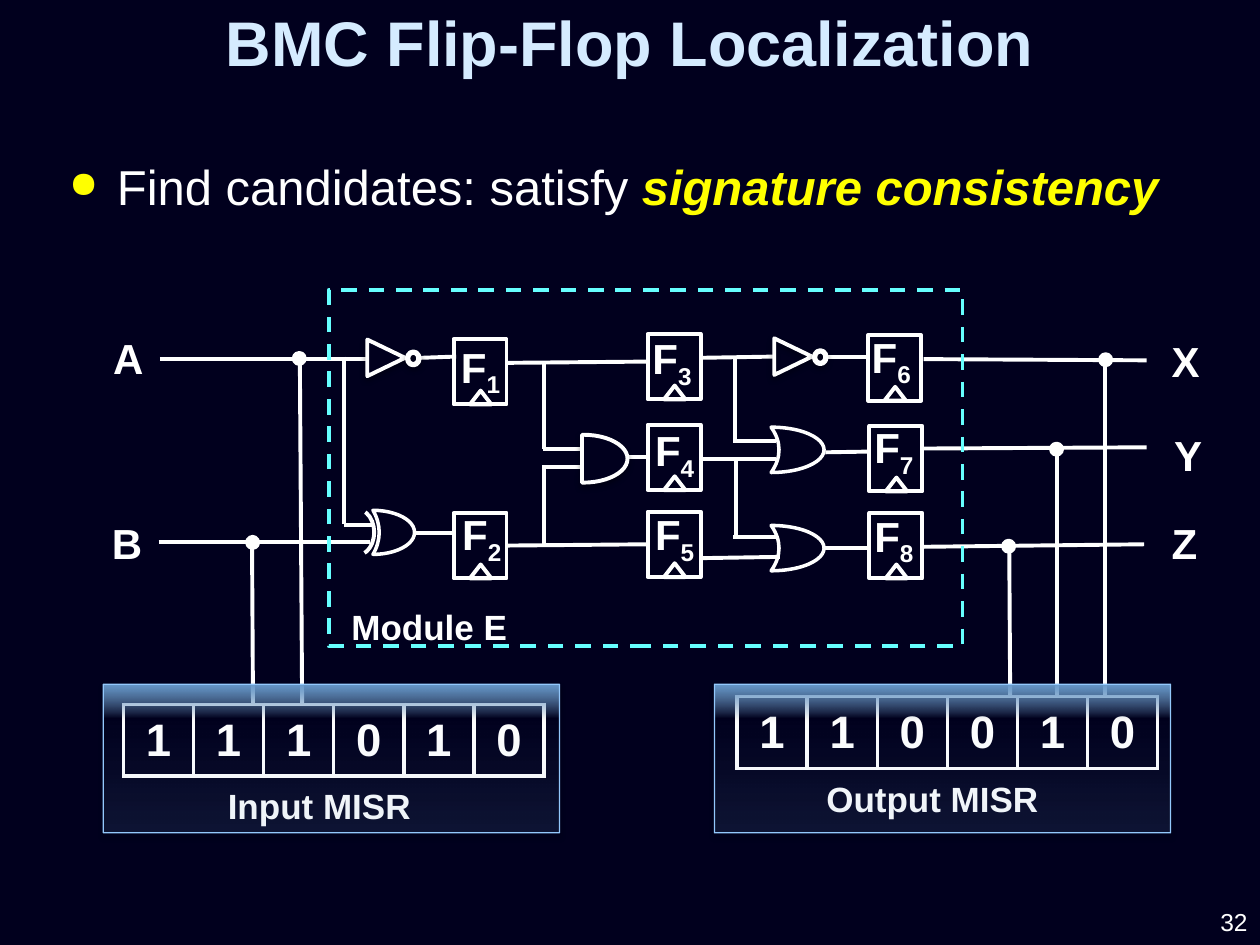
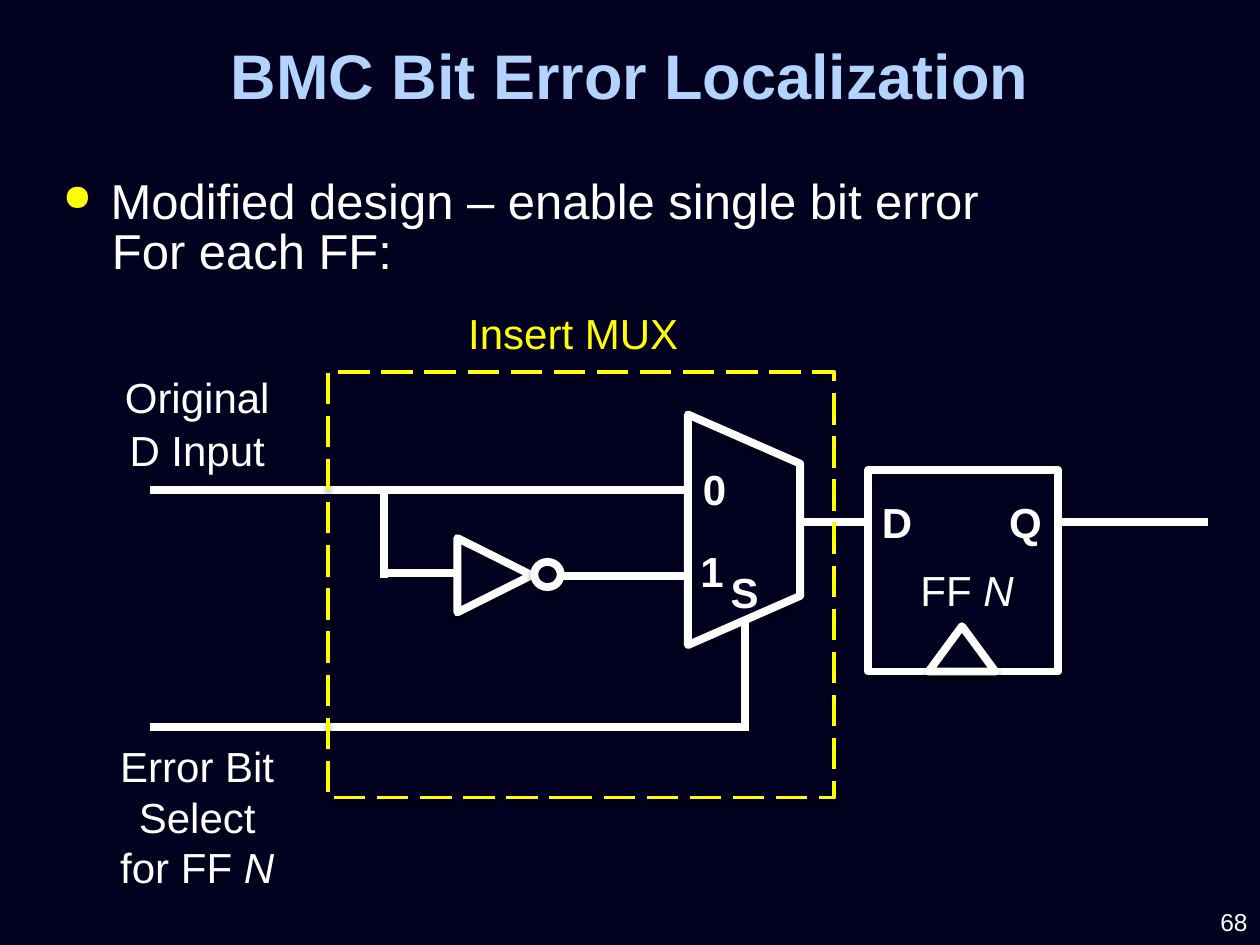
"""Builds two slides on bounded-model-checking localization with circuit diagrams."""
from typing import NamedTuple, Optional

from pptx import Presentation
from pptx import util as u
from pptx.dml.color import RGBColor
from pptx.enum import dml, shapes, text
from pptx.oxml import parse_xml
from pptx.oxml.ns import nsdecls, qn

SLIDE_WIDTH, SLIDE_HEIGHT = u.Inches(10), u.Inches(7.5)
COLUMN, ROW = SLIDE_WIDTH / 100, SLIDE_HEIGHT / 75
FONT = "Arial"
COLORS = {
    "night": "01001E", "white": "FFFFFF", "yellow": "FFFF00", "cyan": "66FFFF",
    "pale": "D5EBFF", "sky": "B2D4FF", "glass": "93C8FC", "black": "000000",
}
GLASS_STOPS = [(0, "8EC7FF", 10), (77, "8CC6FF", 0), (80, "8CC6FF", 15), (100, "6798CA", 100)]
KIND = shapes.MSO_SHAPE
CENTER, RIGHT = text.PP_ALIGN.CENTER, text.PP_ALIGN.RIGHT
MIDDLE = text.MSO_ANCHOR.MIDDLE


class Box(NamedTuple):
    """A frame in grid columns and rows."""
    left: float
    top: float
    width: float
    height: float


class Wire(NamedTuple):
    """A straight wire between two grid points."""
    x1: float
    y1: float
    x2: float
    y2: float


class Run(NamedTuple):
    """A stretch of text with its departures from the box format."""
    words: str
    color: Optional[str] = None
    bold: Optional[bool] = None
    italic: Optional[bool] = None
    subscript: bool = False


class FlipFlop(NamedTuple):
    """A numbered flip-flop with its corner, label corner and fill."""
    number: int
    left: float
    top: float
    label_left: float
    label_top: float
    fill: Optional[str] = None


class Register(NamedTuple):
    """A signature register: bits, caption and glass panel."""
    bits: str
    table: Box
    caption: str
    caption_box: Box
    panel: Box


class Label(NamedTuple):
    """A short text in a box."""
    words: str
    box: Box


def rgb(name: str) -> RGBColor:
    """Look up a named colour."""
    return RGBColor.from_string(COLORS[name])


def place(box: Box) -> list:
    """Turn a grid frame into slide lengths."""
    return [round(value * step) for value, step in zip(box, (COLUMN, ROW, COLUMN, ROW))]


def add_text(slide, box: Box, paragraphs: list, *, size=24, color="white", bold=False,
             align=None, anchor=None, wrap=True, spacing=None, after=None, bullet=False):
    """Write paragraphs, each a string or a list of runs, in a text box."""
    frame = slide.shapes.add_textbox(*place(box)).text_frame
    frame.word_wrap = wrap
    if anchor is not None:
        frame.vertical_anchor = anchor
    for index, content in enumerate(paragraphs):
        paragraph = frame.add_paragraph() if index else frame.paragraphs[0]
        if bullet:
            add_bullet(paragraph)
        paragraph.alignment = align
        paragraph.line_spacing = spacing
        paragraph.space_after = after
        for run in [Run(content)] if isinstance(content, str) else content:
            part = paragraph.add_run()
            part.text = run.words
            font = part.font
            font.name, font.size = FONT, u.Pt(size)
            font.bold = bold if run.bold is None else run.bold
            font.italic = run.italic
            font.color.rgb = rgb(run.color or color)
            if run.subscript:
                part._r.get_or_add_rPr().set("baseline", "-25000")


def add_bullet(paragraph):
    """Give a paragraph a hanging yellow bullet."""
    properties = paragraph._p.get_or_add_pPr()
    indent = u.Inches(0.38)
    properties.set("marL", str(indent))
    properties.set("indent", str(-indent))
    for element in (f'<a:buClr {nsdecls("a")}><a:srgbClr val="{COLORS["yellow"]}"/></a:buClr>',
                    f'<a:buSzPct {nsdecls("a")} val="75000"/>',
                    f'<a:buChar {nsdecls("a")} char="●"/>'):
        properties.append(parse_xml(element))


def add_shape(slide, kind, box: Box, *, line="white", weight=2.25, fill=None, dash=None,
              rotation=0, adjustments=(), shadow=False):
    """Draw an outlined preset shape."""
    shape = slide.shapes.add_shape(kind, *place(box))
    shape.rotation = rotation
    for index, value in enumerate(adjustments):
        shape.adjustments[index] = value
    if fill:
        shape.fill.solid()
        shape.fill.fore_color.rgb = rgb(fill)
    else:
        shape.fill.background()
    shape.line.color.rgb = rgb(line)
    shape.line.width = u.Pt(weight)
    if dash is not None:
        shape.line.dash_style = dash
    shape.shadow.inherit = False
    if shadow:
        shape._element.spPr.find(qn("a:effectLst")).append(parse_xml(
            f'<a:outerShdw {nsdecls("a")} blurRad="{u.Pt(3.1)}" dist="{u.Pt(1.8)}" dir="5400000" '
            f'rotWithShape="0"><a:srgbClr val="{COLORS["black"]}"><a:alpha val="35000"/>'
            '</a:srgbClr></a:outerShdw>'))
    return shape


def add_wires(slide, wires: list, weight: float):
    """Draw white wires."""
    for wire in wires:
        x1, y1, x2, y2 = place(Box(*wire))
        connector = slide.shapes.add_connector(shapes.MSO_CONNECTOR.STRAIGHT, x1, y1, x2, y2)
        connector.line.color.rgb = rgb("white")
        connector.line.width = u.Pt(weight)
        connector._element.spPr.append(parse_xml(f'<a:effectLst {nsdecls("a")}/>'))


def add_inverter(slide, triangle: Box, bubble: Box, weight: float, bubble_weight: float, fill=None):
    """Draw an inverter pointing right."""
    add_shape(slide, KIND.ISOSCELES_TRIANGLE, triangle, rotation=90, weight=weight, fill=fill, shadow=True)
    add_shape(slide, KIND.OVAL, bubble, weight=bubble_weight, shadow=True)


def add_flip_flop(slide, item: FlipFlop):
    """Draw a flip-flop with its clock mark and label."""
    add_shape(slide, KIND.RECTANGLE, Box(item.left, item.top, 4.2, 5.2), fill=item.fill)
    add_shape(slide, KIND.ISOSCELES_TRIANGLE, Box(item.left + 1.3, item.top + 4.1, 1.7, 1.1))
    add_text(slide, Box(item.label_left, item.label_top, 5.9, 5),
             [[Run("F"), Run(str(item.number), subscript=True)]], bold=True)


def add_register(slide, register: Register):
    """Draw a register as a bit table under a glass panel."""
    add_text(slide, register.caption_box, [register.caption], size=20, bold=True)
    table = slide.shapes.add_table(1, len(register.bits), *place(register.table)).table
    table.first_row = table.horz_banding = False
    for cell, bit in zip(table.iter_cells(), register.bits):
        cell.fill.solid()
        cell.fill.fore_color.rgb = rgb("night")
        cell.vertical_anchor = MIDDLE
        cell.margin_left = cell.margin_right = u.Inches(0.09)
        cell.margin_top = cell.margin_bottom = u.Inches(0.04)
        paragraph = cell.text_frame.paragraphs[0]
        paragraph.alignment = CENTER
        run = paragraph.add_run()
        run.text = bit
        run.font.name, run.font.size, run.font.bold = FONT, u.Pt(26), True
        run.font.color.rgb = rgb("white")
        for index, side in enumerate("LRTB"):
            cell._tc.get_or_add_tcPr().insert(index, parse_xml(
                f'<a:ln{side} {nsdecls("a")} w="{u.Pt(2.25)}"><a:solidFill>'
                f'<a:srgbClr val="{COLORS["white"]}"/></a:solidFill></a:ln{side}>'))


def add_glass_panel(slide, box: Box):
    """Draw a translucent callout panel."""
    panel = add_shape(slide, KIND.RECTANGULAR_CALLOUT, box, line="glass", weight=0.75,
                      adjustments=(0.194, -0.499), shadow=True)
    stops = "".join(f'<a:gs pos="{place_ * 1000}"><a:srgbClr val="{color}">'
                    f'<a:alpha val="{alpha * 1000}"/></a:srgbClr></a:gs>'
                    for place_, color, alpha in GLASS_STOPS)
    properties = panel._element.spPr
    properties.replace(properties.find(qn("a:noFill")), parse_xml(
        f'<a:gradFill {nsdecls("a")} rotWithShape="1"><a:gsLst>{stops}</a:gsLst>'
        '<a:lin ang="16200000" scaled="0"/></a:gradFill>'))


def start_slide(presentation, title: str, title_top: float, title_color: str, number: int,
                bullet: list, bullet_box: Box):
    """Add a slide with background, title, page number and main bullet."""
    slide = presentation.slides.add_slide(presentation.slide_layouts[6])
    slide.background.fill.solid()
    slide.background.fill.fore_color.rgb = rgb("night")
    add_text(slide, Box(0, title_top, 100, 5), [title], size=36, color=title_color, bold=True,
             align=CENTER, anchor=MIDDLE, spacing=0.9)
    add_text(slide, Box(81.8, 71.4, 18.2, 3.5), [str(number)], size=14, align=RIGHT,
             anchor=MIDDLE, wrap=False)
    add_text(slide, bullet_box, [bullet], size=28, spacing=1.4, after=u.Pt(8), bullet=True)
    return slide


def build_flip_flop_slide(presentation):
    """Draw the module between its input and output registers."""
    slide = start_slide(
        presentation, "BMC Flip-Flop Localization", 1.2, "pale", 32,
        [Run("Find candidates: satisfy "), Run("signature consistency", "yellow", True, True)],
        Box(4.5, 10.1, 92.3, 7.6))
    input_wires = [Wire(12.7, 28.5, 29.5, 28.5), Wire(12.6, 43, 29.4, 43),
                   Wire(23.8, 28.8, 24, 59.1), Wire(20, 42.9, 20.1, 59.1),
                   Wire(27.3, 28.3, 27.3, 41.6), Wire(27.3, 41.7, 29.5, 41.7)]
    module_wires = [
        Wire(33.4, 28.4, 36.2, 28.3), Wire(32.9, 42.3, 36.1, 42.3),
        Wire(40.1, 28.8, 51.4, 28.7), Wire(40.2, 43.3, 51.4, 43.2),
        Wire(43.2, 28.7, 43.2, 35.6), Wire(43.1, 35.6, 46.3, 35.6),
        Wire(43.2, 37.1, 43.2, 43.4), Wire(43, 37.1, 46.2, 37.1), Wire(49.5, 36.3, 51.5, 36.3),
        Wire(55.6, 28.4, 61.5, 28.3), Wire(58.3, 28.4, 58.3, 35), Wire(58.2, 35, 61.6, 35),
        Wire(55.8, 36.4, 61.6, 36.4), Wire(58.4, 36.3, 58.4, 42.6), Wire(58.2, 42.6, 61.6, 42.6),
        Wire(55.5, 44.3, 61.9, 44.2), Wire(65.5, 28.3, 71.4, 28.3),
        Wire(65.5, 35.9, 71.4, 35.8), Wire(65.5, 43.5, 71.4, 43.5)]
    output_wires = [Wire(73.3, 28.5, 91, 28.6), Wire(73.2, 35.6, 91, 35.5),
                    Wire(73.2, 43.4, 90.8, 43.2), Wire(87.7, 28.2, 87.7, 59.1),
                    Wire(83.9, 35.5, 83.9, 58.9), Wire(80.1, 43.3, 80.2, 58.9)]
    add_wires(slide, input_wires + module_wires + output_wires, 2.25)
    for left, top in [(19.6, 42.6), (23.3, 28), (87.3, 28.1), (83.4, 35.2), (79.6, 42.9)]:
        add_shape(slide, KIND.OVAL, Box(left, top, 0.9, 0.9), weight=2, fill="white")

    add_shape(slide, KIND.RECTANGLE, Box(26.1, 23, 50.3, 28.3), line="cyan",
              dash=dml.MSO_LINE.DASH)
    add_text(slide, Box(26.9, 47.6, 36.8, 4.4), ["Module E"], size=20, bold=True)

    for left, top, fill in [(29.2, 26.9, "night"), (61.5, 26.8, None)]:
        add_inverter(slide, Box(left, top, 2.9, 3), Box(left + 3.15, top + 1.05, 0.9, 1),
                     2.25, 3, fill)
    for box, fill in [(Box(61.2, 33.9, 4.2, 3.6), None), (Box(61.2, 41.7, 4.2, 3.6), None),
                      (Box(29.6, 40.5, 3.3, 3.5), "night")]:
        add_shape(slide, KIND.MOON, box, weight=2, fill=fill, rotation=180, adjustments=(0.851,))
    add_shape(slide, KIND.ARC, Box(27.3, 40.5, 2.4, 3.5), adjustments=(172.37, 45.05))
    add_shape(slide, KIND.CHORD, Box(42.8, 34.5, 7, 3.8), fill="night", rotation=180,
              adjustments=(52.02, 164.08), shadow=True)

    for flip_flop in [
            FlipFlop(1, 36, 26.9, 35.6, 26.6), FlipFlop(2, 36, 40.7, 35.7, 39.9),
            FlipFlop(3, 51.4, 26.5, 50.8, 25.9), FlipFlop(4, 51.4, 33.7, 51, 33.2),
            FlipFlop(5, 51.4, 40.6, 51, 39.9), FlipFlop(6, 68.9, 26.6, 68.2, 25.8, "night"),
            FlipFlop(7, 69, 33.8, 68.4, 33, "night"), FlipFlop(8, 69, 40.7, 68.4, 40, "night")]:
        add_flip_flop(slide, flip_flop)

    for name, left, top in [("A", 8, 25.9), ("B", 7.9, 40.6), ("X", 92, 26.1),
                            ("Y", 92.2, 33.6), ("Z", 92, 40.6)]:
        add_text(slide, Box(left, top, 2.5, 5), [name], bold=True)

    for register in [
            Register("111010", Box(9.8, 55.9, 33.4, 5.7), "Input MISR",
                     Box(17.1, 61.8, 20.3, 4.4), Box(8.2, 54.3, 36.2, 11.8)),
            Register("110010", Box(58.5, 55.3, 33.4, 5.7), "Output MISR",
                     Box(64.6, 61.2, 22.7, 4.4), Box(56.7, 54.3, 36.2, 11.8))]:
        add_register(slide, register)
        add_glass_panel(slide, register.panel)


def build_bit_error_slide(presentation):
    """Draw the multiplexer inserted before a flip-flop."""
    slide = start_slide(presentation, "BMC Bit Error Localization", 3.8, "sky", 68,
                        [Run("Modified design – enable single bit error")],
                        Box(4, 11.2, 91.9, 13.6))
    add_text(slide, Box(7.9, 17, 27.6, 5.7), ["For each FF:"], size=28)

    bold_line = {"weight": 4.5, "shadow": True}
    add_shape(slide, KIND.RECTANGLE, Box(68.9, 37.3, 15.1, 16), **bold_line)
    add_shape(slide, KIND.ISOSCELES_TRIANGLE, Box(73.7, 49.7, 5.3, 3.6), **bold_line)
    add_shape(slide, KIND.TRAPEZOID, Box(49.9, 37.6, 18.3, 8.9), rotation=90,
              adjustments=(0.438,), **bold_line)
    add_inverter(slide, Box(36.3, 42.7, 5.9, 5.9), Box(42.4, 44.6, 2.1, 2), 4.5, 4.5)
    add_wires(slide, [
        Wire(11.9, 38.9, 54.6, 38.9), Wire(63.3, 41.4, 68.9, 41.4), Wire(30.5, 45.5, 36.2, 45.5),
        Wire(44.6, 45.7, 54.6, 45.7), Wire(30.5, 45.9, 30.5, 39.1), Wire(11.9, 57.7, 59.1, 57.7),
        Wire(59.1, 58, 59.1, 49.3), Wire(84.1, 41.4, 95.9, 41.4)], 4.5)
    for pin, left, top in [("D", 69, 38.9), ("1", 54.6, 42.8), ("0", 54.8, 36.3),
                           ("S", 57, 44.5), ("Q", 79.1, 38.9)]:
        add_text(slide, Box(left, top, 8.8, 5), [pin], bold=True)

    add_shape(slide, KIND.RECTANGLE, Box(26, 29.5, 40.2, 33.8), line="yellow",
              dash=dml.MSO_LINE.LONG_DASH, shadow=True)
    add_text(slide, Box(31.7, 23.9, 27.6, 5), ["Insert MUX"], color="yellow", align=CENTER)
    for label in [Label("Original", Box(7.9, 29, 15.5, 5)),
                  Label("D Input", Box(9.2, 33.2, 12.9, 5))]:
        add_text(slide, label.box, [label.words], align=CENTER, wrap=False)
    variable = Run("N", italic=True)
    add_text(slide, Box(69, 44.3, 15.5, 5), [[Run("FF "), variable]], align=CENTER)
    add_text(slide, Box(7.9, 58.3, 15.5, 13.1),
             ["Error Bit", [Run("Select for FF "), variable]], align=CENTER)


def main():
    """Build and save the presentation."""
    presentation = Presentation()
    presentation.slide_width, presentation.slide_height = SLIDE_WIDTH, SLIDE_HEIGHT
    build_flip_flop_slide(presentation)
    build_bit_error_slide(presentation)
    presentation.save("out.pptx")


if __name__ == "__main__":
    main()
